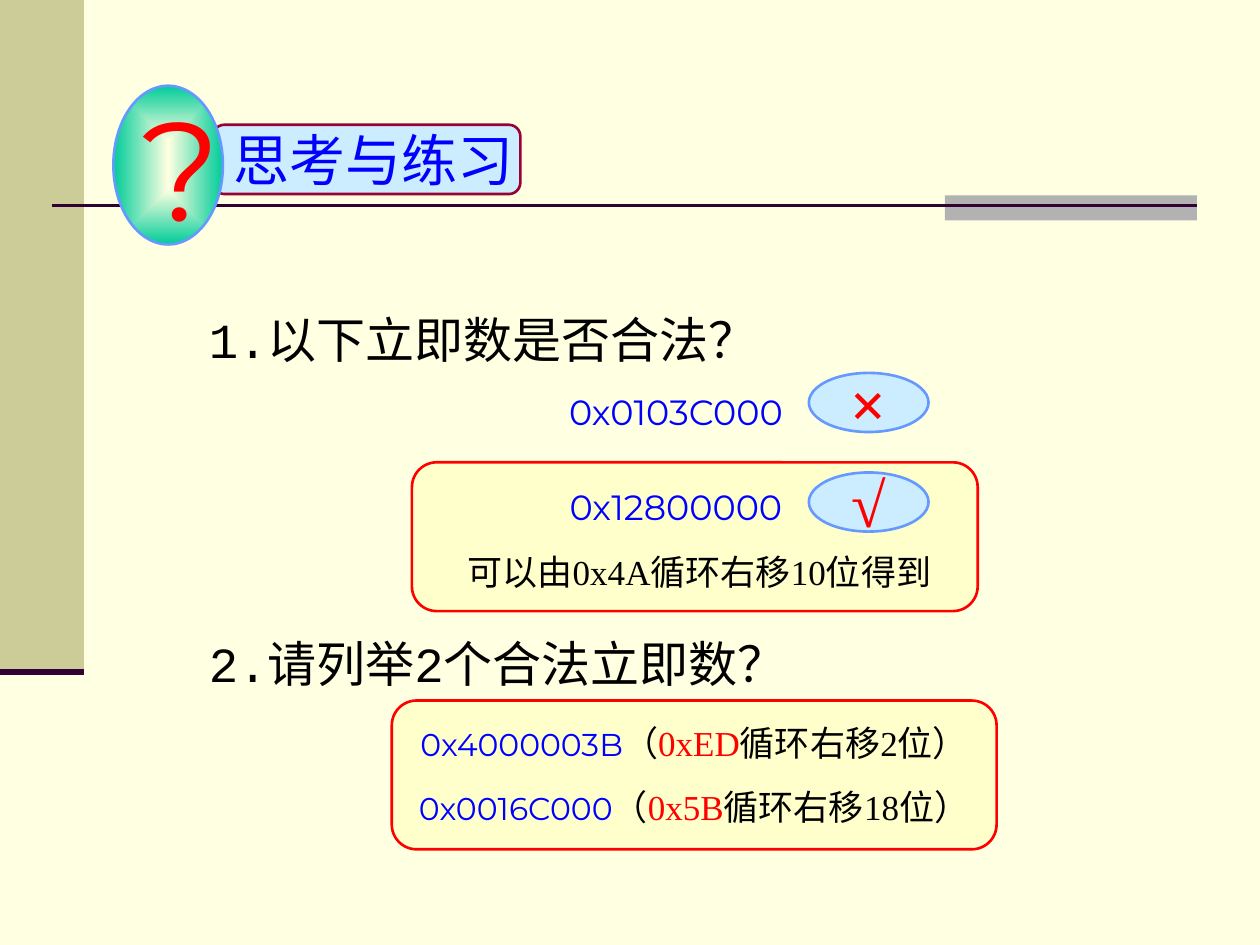
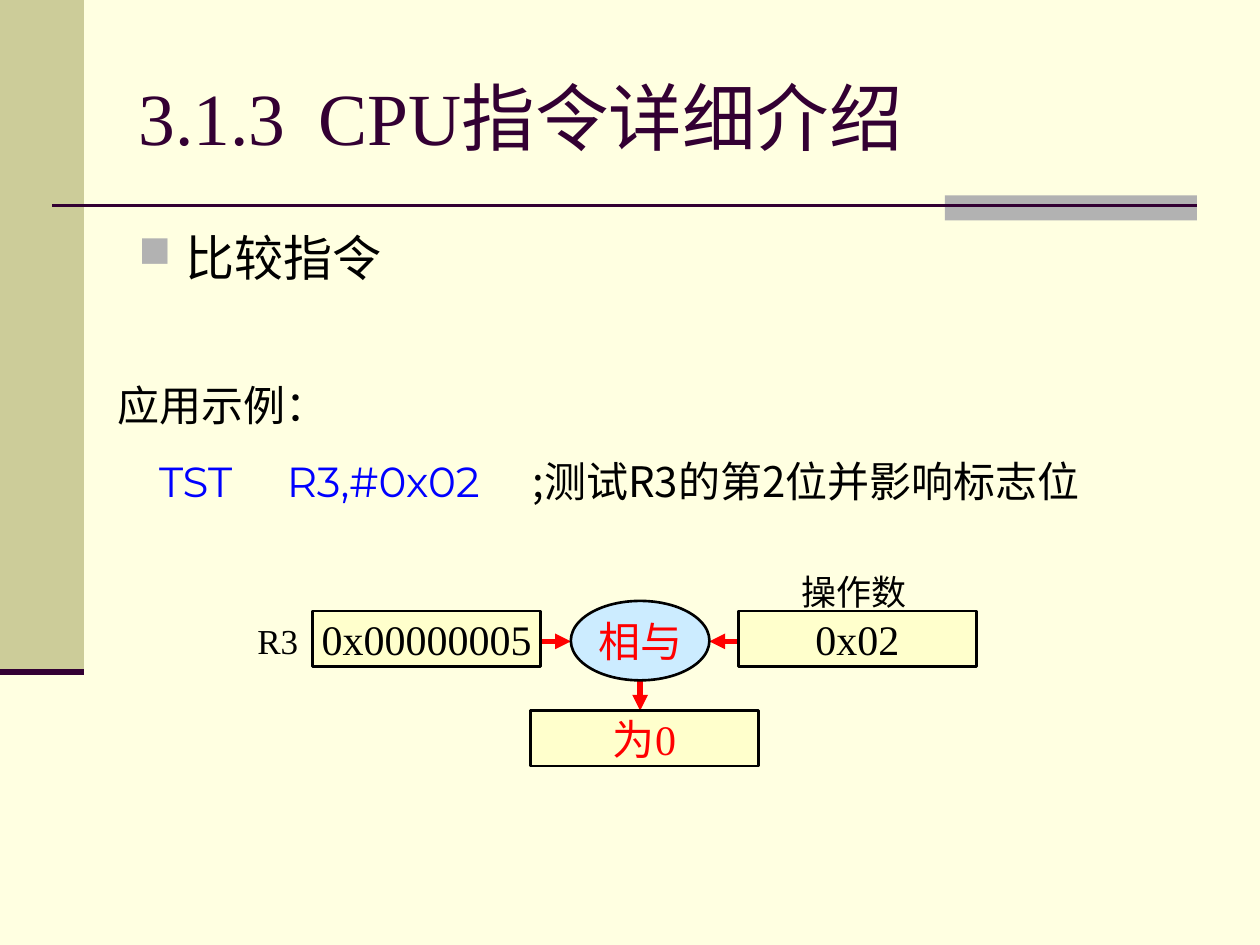
from dataclasses import dataclass, replace

from lxml.etree import SubElement
from pptx import Presentation
from pptx.dml.color import RGBColor
from pptx.enum.shapes import MSO_CONNECTOR, MSO_SHAPE
from pptx.enum.text import MSO_ANCHOR, PP_ALIGN
from pptx.oxml.ns import qn
from pptx.util import Pt

COLORS = {
    "paper": "FFFFE1", "khaki": "CCCC99", "gray": "B2B2B2", "plum": "330033",
    "cream": "FFFFCC", "sky": "CCECFF", "steel": "6699FF", "wine": "990033",
    "teal": "00CC99", "red": "FF0000", "blue": "0000FF", "black": "000000",
}
SERIF, SANS, CJK = "Times New Roman", "Montserrat", "Noto Sans CJK JP"
OVAL, ROUND, RECT = MSO_SHAPE.OVAL, MSO_SHAPE.ROUNDED_RECTANGLE, MSO_SHAPE.RECTANGLE


@dataclass(frozen=True)
class Type:
    font: str
    size: float
    color: str = "black"
    bold: bool = False


@dataclass
class Para:
    spans: list
    align: PP_ALIGN = PP_ALIGN.CENTER
    before: float = 0
    tabs: tuple = ()
    bullet: bool = False


NOTE = Type(SERIF, 20)
NOTE_RED = replace(NOTE, color="red")
VALUE = Type(SERIF, 24)
VALUE_RED = replace(VALUE, color="red")
QUESTION = Type("Courier New", 28)
NUMBER = Type(SANS, 20, "blue")
MARK = Type(SERIF, 36, "red", True)


def line_of(text, style, **options):
    return Para([(text, style)], **options)


def left_line(text, style, **options):
    return line_of(text, style, align=PP_ALIGN.LEFT, **options)


def color(name):
    return RGBColor.from_string(COLORS[name])


class Lesson:
    """Holds the deck, its style and the current page."""

    def __init__(self):
        self.deck = Presentation()
        self.deck.slide_width, self.deck.slide_height = Pt(720), Pt(540)
        self.page = None

    def new_page(self):
        self.page = self.deck.slides.add_slide(self.deck.slide_layouts[6])
        background = self.page.background.fill
        background.solid()
        background.fore_color.rgb = color("paper")
        # Side band, corner block and rules shared by every page
        self.shape(RECT, (0, 0, 48, 384), "khaki")
        self.shape(RECT, (540, 111.6, 144, 14.4), "gray")
        self.line((30, 117.6), (684, 117.6), "plum", 1.5)
        self.line((0, 384), (48, 384), "plum", 3.5)

    def shape(self, kind, place, fill, outline=None, paras=(), wrap=False, left_inset=7.2):
        box = self.page.shapes.add_shape(kind, *map(Pt, place))
        box.shadow.inherit = False
        box.fill.solid()
        box.fill.fore_color.rgb = color(fill)
        if outline:
            box.line.color.rgb = color(outline)
            box.line.width = Pt(1.5)
        else:
            box.line.fill.background()
        if paras:
            self.fill_text(box, paras, wrap, MSO_ANCHOR.MIDDLE, left_inset)
        return box

    def text(self, place, paras, wrap=True, anchor=MSO_ANCHOR.TOP):
        box = self.page.shapes.add_textbox(*map(Pt, place))
        self.fill_text(box, paras, wrap, anchor)

    def line(self, start, end, stroke, width, arrow=False):
        rule = self.page.shapes.add_connector(MSO_CONNECTOR.STRAIGHT, *map(Pt, start + end))
        rule.line.color.rgb = color(stroke)
        rule.line.width = Pt(width)
        if arrow:
            outline = rule._element.spPr.find(qn("a:ln"))
            SubElement(outline, qn("a:tailEnd"), type="triangle")
        SubElement(rule._element.spPr, qn("a:effectLst"))

    def radial(self, box, inner, outer):
        box.fill.gradient()
        for stop, name in zip(box.fill.gradient_stops, (inner, outer)):
            stop.color.rgb = color(name)
        gradient = box._element.spPr.find(qn("a:gradFill"))
        gradient.remove(gradient.find(qn("a:lin")))
        shade = SubElement(gradient, qn("a:path"), {"path": "rect"})
        SubElement(shade, qn("a:fillToRect"), l="50000", t="50000", r="50000", b="50000")

    def fill_text(self, box, paras, wrap, anchor, left_inset=7.2):
        frame = box.text_frame
        frame.word_wrap = wrap
        frame.vertical_anchor = anchor
        frame.margin_left = Pt(left_inset)
        for index, content in enumerate(paras):
            para = frame.add_paragraph() if index else frame.paragraphs[0]
            para.alignment = content.align
            if content.before:
                para.space_before = Pt(content.before)
            self.bullet_and_tabs(para, content)
            styles = {style for _, style in content.spans}
            for text, style in content.spans:
                span = para.add_run()
                span.text = text
                if len(styles) > 1:
                    self.set_font(span.font, style)
            if len(styles) == 1:
                self.set_font(para.font, styles.pop())

    def bullet_and_tabs(self, para, content):
        settings = para._p.get_or_add_pPr()
        if content.bullet:
            settings.set("marL", str(Pt(27)))
            settings.set("indent", str(-Pt(27)))
            SubElement(SubElement(settings, qn("a:buClr")), qn("a:srgbClr"), val=COLORS["gray"])
            SubElement(settings, qn("a:buSzPct"), val="90000")
            SubElement(settings, qn("a:buChar"), char="■")
        if content.tabs:
            stops = SubElement(settings, qn("a:tabLst"))
            for position in content.tabs:
                SubElement(stops, qn("a:tab"), pos=str(Pt(position)), algn="l")

    def set_font(self, font, style):
        font.name, font.size, font.bold = style.font, Pt(style.size), style.bold
        font.color.rgb = color(style.color)
        SubElement(font._rPr, qn("a:ea"), typeface=CJK)


def exercise_page(lesson):
    lesson.new_page()

    # First answer panel with its verdict marks
    lesson.shape(ROUND, (235.4, 264.2, 323.3, 85), "cream", "red")
    lesson.shape(RECT, (257.8, 309.6, 283.7, 33.8), "cream",
                 paras=[line_of("可以由0x4A循环右移10位得到", NOTE)])
    for mark, top in (("×", 213.1), ("√", 270)):
        lesson.shape(OVAL, (462.2, top, 68.4, 33.8), "sky", "steel", [line_of(mark, MARK)])

    # Heading badge
    lesson.shape(ROUND, (121.7, 71.3, 175.7, 39.6), "sky", "wine",
                 [line_of("思考与练习", Type(SERIF, 32, "blue"))], left_inset=15.2)
    badge = lesson.shape(OVAL, (64.8, 49, 62.6, 90.7), "teal", "steel",
                         [line_of("?", Type(SANS, 80, "red"))], wrap=True)
    lesson.radial(badge, "paper", "teal")

    # Questions
    lesson.text((112.3, 173.5, 547.9, 132.5), [
        left_line("1.以下立即数是否合法？", QUESTION),
        line_of("0x0103C000", NUMBER, before=12.5),
        line_of("0x12800000", NUMBER, before=30.5),
    ])
    lesson.text((112.3, 358.6, 547.9, 41), [left_line("2.请列举2个合法立即数？", QUESTION)])

    # Second answer panel
    examples = (("0x4000003B", "0xED", 2), ("0x0016C000", "0x5B", 18))
    lesson.shape(ROUND, (223.9, 400.3, 345.6, 85), "cream", "red", [
        Para([(number, replace(NUMBER, size=18)), ("（", NOTE),
              (base, NOTE_RED), (f"循环右移{shift}位）", NOTE)],
             before=12.5 if row else 0)
        for row, (number, base, shift) in enumerate(examples)
    ])


def compare_page(lesson):
    lesson.new_page()

    # Title and topic
    lesson.text((72, 21.6, 612, 90),
                [left_line("3.1.3\tCPU指令详细介绍", Type(SERIF, 42, "plum"), tabs=(103,))],
                anchor=MSO_ANCHOR.MIDDLE)
    lesson.text((72, 126.7, 612, 59),
                [left_line("比较指令", Type("Arial", 28), bullet=True)])

    # Code example
    lesson.text((59.8, 213.1, 617.8, 79.9), [
        left_line("应用示例：", Type(SANS, 24)),
        Para([("\tTST\tR3,#0x02\t", Type(SANS, 24, "blue")),
              (";测试R3的第2位并影响标志位", Type(CJK, 24))],
             PP_ALIGN.LEFT, before=15, tabs=(24, 97, 237.5)),
    ])

    # Arrows into and out of the operation
    for start, end in (((308.9, 366.5), (326.2, 366.5)),
                       ((422.6, 366.5), (405.4, 366.5)),
                       ((365.8, 388.8), (365.8, 406.1))):
        lesson.line(start, end, "red", 3, arrow=True)

    # Operands, operation and result
    for kind, place, fill, text, style in (
        (RECT, (178.6, 349.2, 130.3, 31.7), "cream", "0x00000005", VALUE),
        (RECT, (421.9, 349.2, 136.1, 31.7), "cream", "0x02", VALUE),
        (OVAL, (326.2, 343.4, 79.2, 45.4), "sky", "相与", VALUE_RED),
        (RECT, (303.1, 406.1, 130.3, 31.7), "cream", "为0", VALUE_RED),
    ):
        lesson.shape(kind, place, fill, "black", [line_of(text, style)])
    for text, place in (("R3", (133.2, 349.2, 51.1, 33.8)),
                        ("操作数", (434.2, 321.1, 107.3, 33.8))):
        lesson.text(place, [line_of(text, NOTE)], wrap=False, anchor=MSO_ANCHOR.MIDDLE)


def main():
    lesson = Lesson()
    exercise_page(lesson)
    compare_page(lesson)
    lesson.deck.save("out.pptx")


if __name__ == "__main__":
    main()
